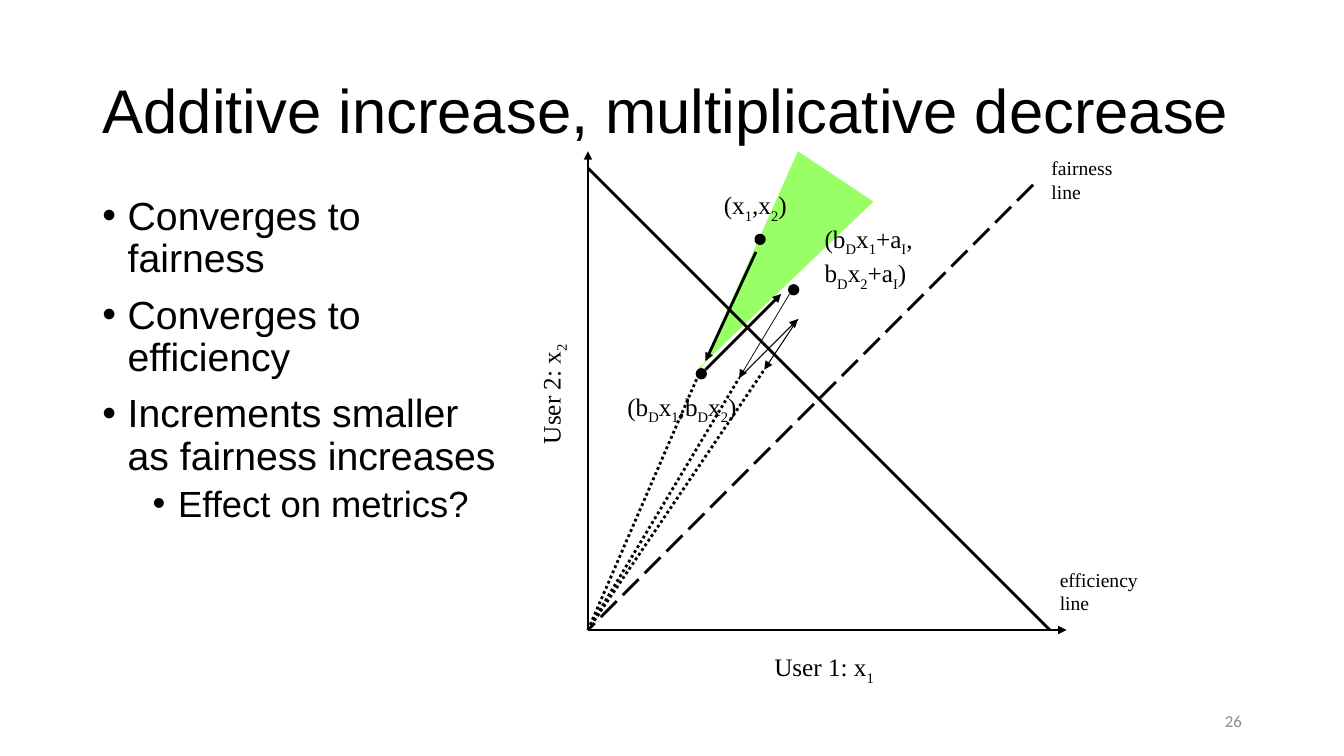
from lxml.etree import SubElement
from pptx import Presentation
from pptx.dml.color import RGBColor
from pptx.enum.dml import MSO_LINE
from pptx.enum.shapes import MSO_CONNECTOR, MSO_SHAPE
from pptx.enum.text import MSO_ANCHOR, PP_ALIGN
from pptx.oxml.ns import qn
from pptx.util import Cm, Pt

COLORS = {"ink": "000000", "wedge": "99FF66", "number": "8C8C8C"}
SANS, SERIF = "Arial", "Times New Roman"
GRID = 2.54 / 12

TITLE = "Additive increase, multiplicative decrease"
PAGE_NUMBER = "26"
BULLETS = [
    (0, "Converges to fairness"),
    (0, "Converges to efficiency"),
    (0, "Increments smaller as fairness increases"),
    (1, "Effect on metrics?"),
]
BULLET_STYLES = [
    {"size": 28, "before": 10, "margin": 0.64},
    {"size": 26, "before": 5, "margin": 1.91},
]

# Diagram positions are counted in GRID steps.
ORIGIN = (70, 75)
WEDGE = [(83, 44), (104, 24), (95, 18), (83, 45)]
DOTS = [(94, 34), (83, 44), (90, 28)]
LINES = [
    (ORIGIN, (70, 18), 2, None, True),
    (ORIGIN, (127, 75), 2, None, True),
    ((123, 22), ORIGIN, 2, MSO_LINE.LONG_DASH, False),
    ((70, 20), (125, 75), 2, None, False),
    ((84, 44), (93, 35), 2, None, True),
    ((90, 30), (84, 43), 2, None, True),
    (ORIGIN, (83, 45), 2, MSO_LINE.ROUND_DOT, False),
    (ORIGIN, (88, 45), 2, MSO_LINE.ROUND_DOT, False),
    (ORIGIN, (91, 44), 2, MSO_LINE.ROUND_DOT, False),
    ((94, 35), (88, 45), 0.5, None, True),
    ((88, 45), (95, 38), 0.75, None, True),
    ((95, 38), (91, 44), 0.75, None, True),
]
LABELS = [
    ("(x_1,x_2)", 85, 22, 10.2, 4.8, 18, 0),
    ("(b_Dx_1+a_I,\nb_Dx_2+a_I)", 97, 26, 13.7, 8.4, 18, 0),
    ("(b_Dx_1,b_Dx_2)", 73.5, 46, 16.2, 4.8, 18, 0),
    ("User 1: x_1", 91, 77, 14.5, 4.8, 18, 0),
    ("User 2: x_2", 58.3, 44.4, 14.5, 4.8, 18, 270),
    ("fairness\nline", 124, 18, 9.7, 6.8, 14, 0),
    ("efficiency\nline", 125, 67, 11.8, 6.8, 14, 0),
]


def grid(steps):
    return Cm(steps * GRID)


def color(name):
    return RGBColor.from_string(COLORS[name])


def set_font(font, name, size, color_name="ink"):
    font.name = name
    font.size = Pt(size)
    font.color.rgb = color(color_name)


def place(shape, left, top, width, height):
    shape.left, shape.top = Cm(left), Cm(top)
    shape.width, shape.height = Cm(width), Cm(height)


def add_title(slide):
    title = slide.shapes.title
    place(title, 2.33, 1.02, 29.21, 3.68)
    title.text_frame.text = TITLE
    title.text_frame.vertical_anchor = MSO_ANCHOR.MIDDLE
    paragraph = title.text_frame.paragraphs[0]
    paragraph.alignment = PP_ALIGN.LEFT
    paragraph.line_spacing = 0.9
    set_font(paragraph.runs[0].font, SANS, 44)


def add_bullets(slide):
    box = slide.shapes.add_textbox(Cm(2.33), Cm(4.83), Cm(10.41), Cm(11.86))
    frame = box.text_frame
    frame.word_wrap = True
    for index, (level, text) in enumerate(BULLETS):
        paragraph = frame.add_paragraph() if index else frame.paragraphs[0]
        style = BULLET_STYLES[level]
        paragraph.text = text
        paragraph.level = level
        paragraph.line_spacing = 0.9
        paragraph.space_before = Pt(style["before"] if index else 0)
        properties = paragraph._p.get_or_add_pPr()
        properties.set("marL", str(Cm(style["margin"])))
        properties.set("indent", str(Cm(-0.64)))
        SubElement(properties, qn("a:buFont")).set("typeface", SANS)
        SubElement(properties, qn("a:buChar")).set("char", "•")
        set_font(paragraph.runs[0].font, SANS, style["size"])


def add_wedge(slide):
    builder = slide.shapes.build_freeform(*WEDGE[0], scale=grid(1))
    builder.add_line_segments(WEDGE[1:], close=True)
    wedge = builder.convert_to_shape()
    wedge.shadow.inherit = False
    wedge.fill.solid()
    wedge.fill.fore_color.rgb = color("wedge")
    wedge.line.fill.background()


def add_line(slide, start, end, width, dash, arrow):
    ends = [grid(value) for value in start + end]
    connector = slide.shapes.add_connector(MSO_CONNECTOR.STRAIGHT, *ends)
    connector.line.color.rgb = color("ink")
    connector.line.width = Pt(width)
    if dash:
        connector.line.dash_style = dash
    if arrow:
        line = connector.line._get_or_add_ln()
        SubElement(line, qn("a:tailEnd")).set("type", "triangle")
    SubElement(connector._element.spPr, qn("a:effectLst"))


def add_dot(slide, left, top):
    dot = slide.shapes.add_shape(
        MSO_SHAPE.OVAL, grid(left), grid(top), grid(1), grid(1))
    dot.shadow.inherit = False
    dot.fill.solid()
    dot.fill.fore_color.rgb = color("ink")
    dot.line.color.rgb = color("ink")
    dot.line.width = Pt(2)


def add_label(slide, text, left, top, width, height, size, rotation):
    box = slide.shapes.add_textbox(
        grid(left), grid(top), grid(width), grid(height))
    box.rotation = rotation
    frame = box.text_frame
    frame.word_wrap = False
    for index, row in enumerate(text.split("\n")):
        paragraph = frame.add_paragraph() if index else frame.paragraphs[0]
        first, *rest = row.split("_")
        pieces = [(first, False)]
        for part in rest:
            pieces += [(part[0], True), (part[1:], False)]
        for piece, subscript in pieces:
            if piece:
                run = paragraph.add_run()
                run.text = piece
                set_font(run.font, SERIF, size)
                if subscript:
                    run._r.get_or_add_rPr().set("baseline", "-25000")


def add_page_number(slide):
    box = slide.shapes.add_textbox(Cm(23.93), Cm(17.65), Cm(7.62), Cm(1.02))
    frame = box.text_frame
    frame.text = PAGE_NUMBER
    frame.word_wrap = True
    frame.vertical_anchor = MSO_ANCHOR.MIDDLE
    paragraph = frame.paragraphs[0]
    paragraph.alignment = PP_ALIGN.RIGHT
    set_font(paragraph.runs[0].font, "Calibri", 12, "number")


def main():
    presentation = Presentation()
    presentation.slide_width, presentation.slide_height = Cm(33.87), Cm(19.05)
    slide = presentation.slides.add_slide(presentation.slide_layouts[5])
    add_title(slide)
    add_bullets(slide)
    add_wedge(slide)
    for line in LINES:
        add_line(slide, *line)
    for dot in DOTS:
        add_dot(slide, *dot)
    for label in LABELS:
        add_label(slide, *label)
    add_page_number(slide)
    presentation.save("out.pptx")


if __name__ == "__main__":
    main()
